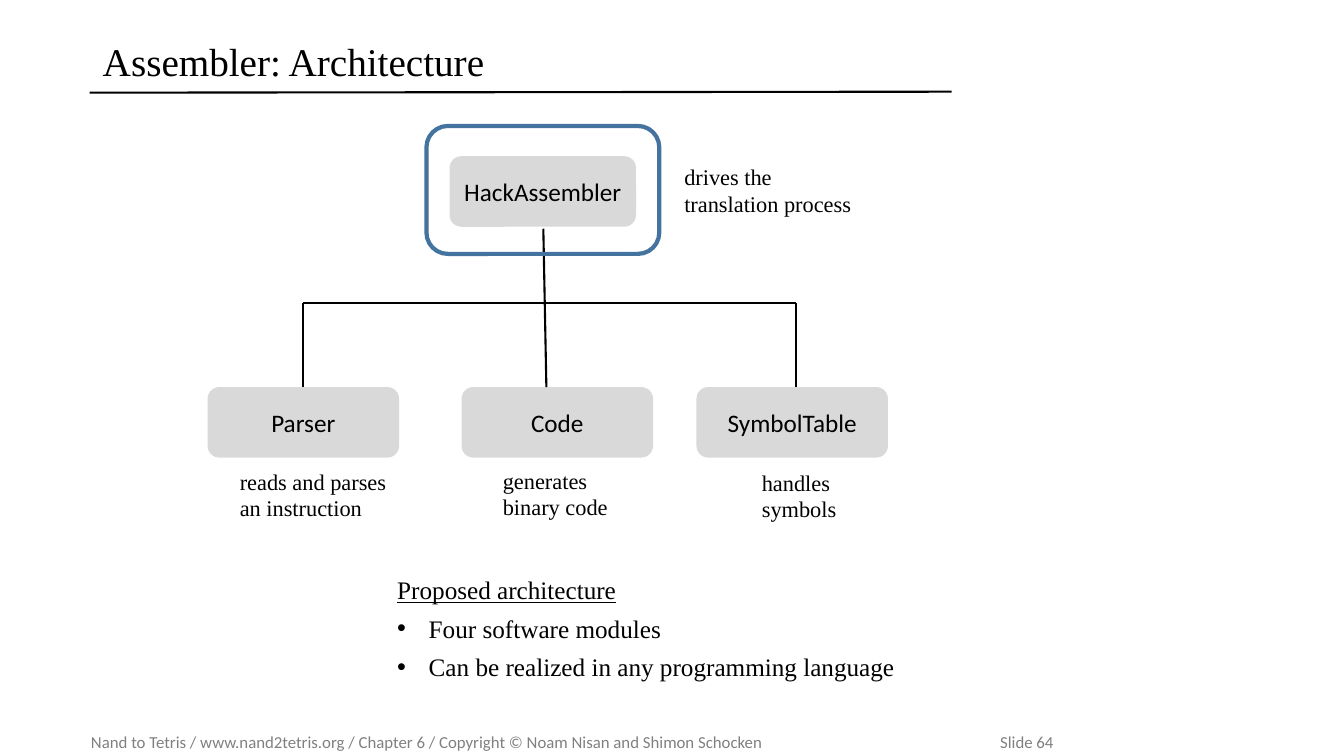
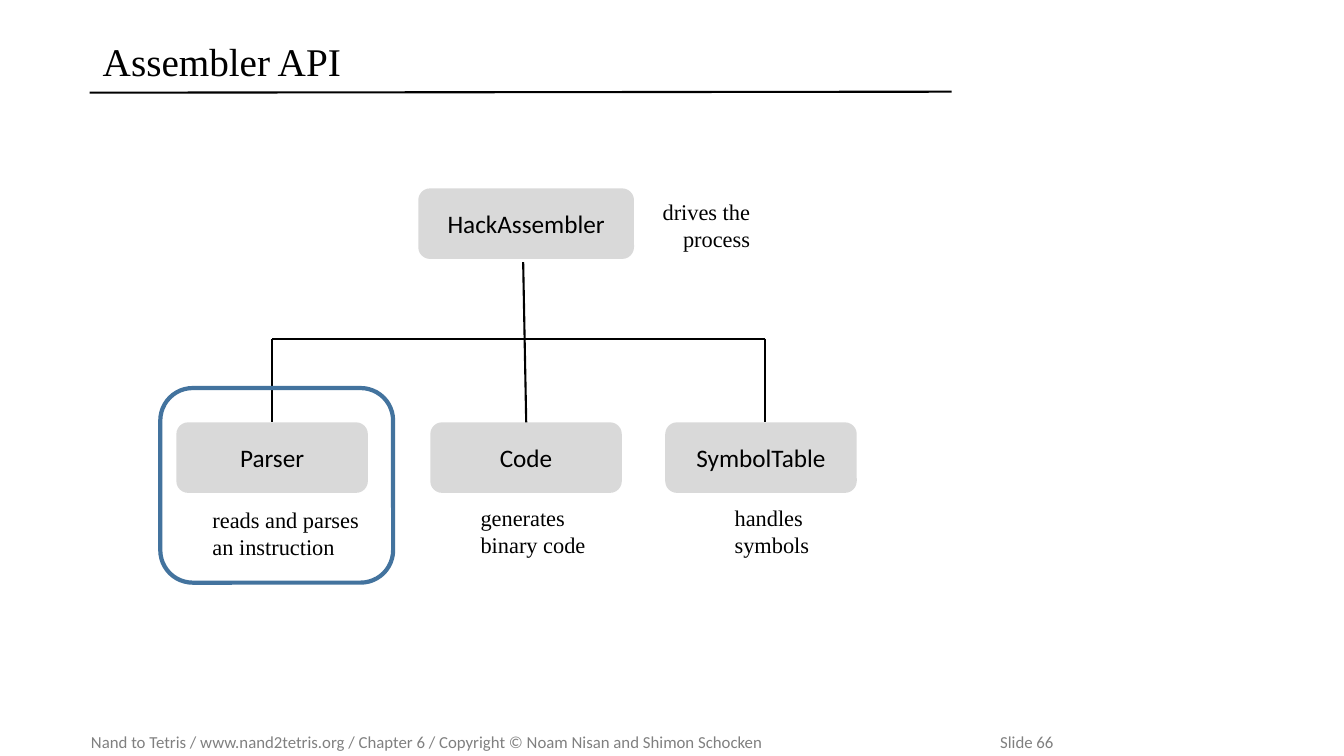
from lxml.etree import SubElement
from pptx import Presentation
from pptx.dml.color import RGBColor
from pptx.enum.shapes import MSO_CONNECTOR, MSO_SHAPE
from pptx.enum.text import MSO_ANCHOR, MSO_AUTO_SIZE, PP_ALIGN
from pptx.oxml.ns import qn
from pptx.util import Pt

BLACK = RGBColor(0x00, 0x00, 0x00)
GREY = RGBColor(0x80, 0x80, 0x80)
PALE = RGBColor(0xD9, 0xD9, 0xD9)
BLUE = RGBColor(0x43, 0x73, 0x9E)

SERIF, SANS = "Times New Roman", "Calibri"
CREDIT = ("Nand to Tetris / www.nand2tetris.org / Chapter 6 / "
          "Copyright © Noam Nisan and Shimon Schocken")

# Run formats by role
HEAD = {"name": SERIF, "size": Pt(28)}
BODY = {"name": SERIF, "size": Pt(18), "underline": False}
LEAD = {**BODY, "underline": True}
NOTE = {"name": SERIF, "size": Pt(16)}
LABEL = {"name": SANS, "size": Pt(18)}
FOOT = {"name": SANS, "size": Pt(12)}

# Module name, offset from the tree's left edge, caption, caption width
PARTS = [
    ("Parser", 0, "reads and parses\nan instruction", 150),
    ("Code", 181.4, "generates\nbinary code", 130.3),
    ("SymbolTable", 349.2, "handles symbols", 112.3),
]
BOX_W, BOX_H = 136.8, 50.4
RISE = 59.8   # from the module boxes up to the crossbar
SPAN = 352.1  # length of the crossbar


class Deck:
    """Holds the shared style and the slide being built."""

    def __init__(self):
        self.prs = Presentation()
        self.prs.slide_width, self.prs.slide_height = Pt(960), Pt(540)
        self.slide = None

    def place(self, shape, x, y, w, h):
        shape.left, shape.top = Pt(x), Pt(y)
        shape.width, shape.height = Pt(w), Pt(h)

    def frame(self, shape, anchor, pad=(7.2, 3.6, 7.2, 3.6)):
        frame = shape.text_frame
        frame.word_wrap = True
        frame.auto_size = MSO_AUTO_SIZE.NONE
        frame.vertical_anchor = anchor
        for side, gap in zip(("left", "top", "right", "bottom"), pad):
            setattr(frame, f"margin_{side}", Pt(gap))
        return frame

    def label(self, para, text, style, color=BLACK, align=PP_ALIGN.LEFT):
        para.text = text
        para.alignment = align
        for run in para.runs:
            for key, val in style.items():
                setattr(run.font, key, val)
            run.font.color.rgb = color

    def start(self, title, number, layout):
        """New slide with its title, rule and footer."""
        self.slide = self.prs.slides.add_slide(self.prs.slide_layouts[layout])
        head = self.slide.shapes.title
        self.place(head, 66.2, 23, 614.2, 45.4)
        para = self.frame(head, MSO_ANCHOR.MIDDLE).paragraphs[0]
        self.label(para, title, HEAD)
        para.line_spacing = 0.9
        self.line(64.1, 66.2, 679.7, 65.5)

        foot = self.slide.shapes.add_textbox(Pt(65), Pt(519), Pt(882), Pt(21))
        para = self.frame(foot, MSO_ANCHOR.MIDDLE, (0, 3.6, 0, 3.6)).paragraphs[0]
        tabs = SubElement(para._p.get_or_add_pPr(), qn("a:tabLst"))
        SubElement(tabs, qn("a:tab"), pos=str(Pt(649.4)), algn="l")
        self.label(para, f"{CREDIT}\tSlide {number}", FOOT, GREY)

    def line(self, x1, y1, x2, y2):
        line = self.slide.shapes.add_connector(
            MSO_CONNECTOR.STRAIGHT, Pt(x1), Pt(y1), Pt(x2), Pt(y2))
        line.line.color.rgb = BLACK
        line.line.width = Pt(1.5)
        SubElement(line._element.spPr, qn("a:effectLst"))

    def round(self, x, y, w, h):
        shape = self.slide.shapes.add_shape(
            MSO_SHAPE.ROUNDED_RECTANGLE, Pt(x), Pt(y), Pt(w), Pt(h))
        shape.shadow.inherit = False
        return shape

    def box(self, name, x, y, w=BOX_W):
        shape = self.round(x, y, w, BOX_H)
        shape.fill.solid()
        shape.fill.fore_color.rgb = PALE
        shape.line.fill.background()
        para = self.frame(shape, MSO_ANCHOR.MIDDLE).paragraphs[0]
        self.label(para, name, LABEL, align=PP_ALIGN.CENTER)

    def ring(self, x, y, w, h):
        """Outline that marks the module in focus."""
        shape = self.round(x, y, w, h)
        shape.fill.background()
        shape.line.color.rgb = BLUE
        shape.line.width = Pt(3)

    def note(self, text, x, y, w, align=PP_ALIGN.LEFT):
        shape = self.slide.shapes.add_textbox(Pt(x), Pt(y), Pt(w), Pt(46))
        para = self.frame(shape, MSO_ANCHOR.TOP).paragraphs[0]
        self.label(para, text, NOTE, align=align)

    def tree(self, x, y, trunk, spots):
        """Three modules with captions, joined to the trunk above."""
        for (name, dx, text, width), spot in zip(PARTS, spots):
            self.box(name, x + dx, y)
            self.note(text, *spot, width)
        left, bar = x + BOX_W / 2, y - RISE
        right = left + SPAN
        self.line(left, bar, right, bar)
        for stub in (left, right):
            self.line(stub, bar, stub, y)
        top_x, top_y = trunk
        self.line(top_x, top_y, top_x + 2.2, y)

    def points(self, lead, items, x, y, w, h):
        """Underlined lead line followed by bullets."""
        body = self.slide.placeholders[1]
        self.place(body, x, y, w, h)
        frame = self.frame(body, MSO_ANCHOR.MIDDLE, (11.5, 0, 0, 3.6))
        for i, text in enumerate([lead, *items]):
            para = frame.add_paragraph() if i else frame.paragraphs[0]
            para.space_before = Pt(6 if i else 0)
            props = para._p.get_or_add_pPr()
            inset = Pt(22.5) if i else 0
            props.set("marL", str(inset))
            props.set("indent", str(-inset))
            if i:
                SubElement(props, qn("a:buChar"), char="•")
            else:
                SubElement(props, qn("a:buNone"))
            self.label(para, text, BODY if i else LEAD)


def main():
    deck = Deck()

    # Architecture: the driver is in focus
    deck.start("Assembler: Architecture", 64, layout=1)
    deck.tree(148.3, 276.5, (388.1, 163.4),
              [(164.2, 330.5), (352.1, 329.8), (537.1, 331.2)])
    deck.points("Proposed architecture",
                ["Four software modules",
                 "Can be realized in any programming language"],
                272.2, 394.6, 415.4, 111.6)
    deck.box("HackAssembler", 321.1, 111.6, 133.2)
    deck.ring(304.6, 90, 166.3, 91.4)
    deck.note("drives the translation process", 481.7, 113, 143.3)

    # API: the parser is in focus
    deck.start("Assembler API", 66, layout=5)
    deck.tree(126, 301.7, (373.7, 187.2),
              [(144.7, 357.8), (336.2, 356.4), (517.7, 356.4)])
    deck.box("HackAssembler", 298.8, 134.6, 154.1)
    deck.note("drives the process", 427.7, 138.2, 115.2, PP_ALIGN.RIGHT)
    deck.ring(114.5, 277.2, 166.3, 139)

    deck.prs.save("out.pptx")


if __name__ == "__main__":
    main()
